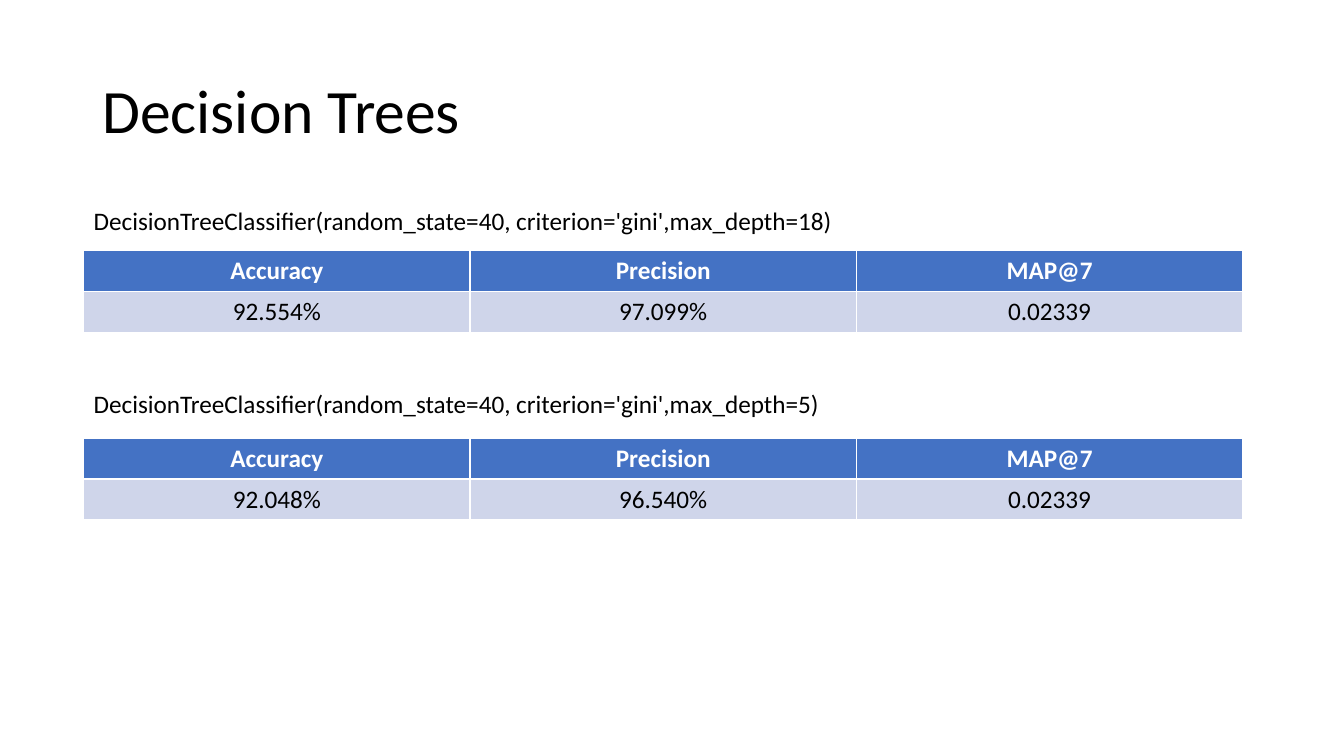
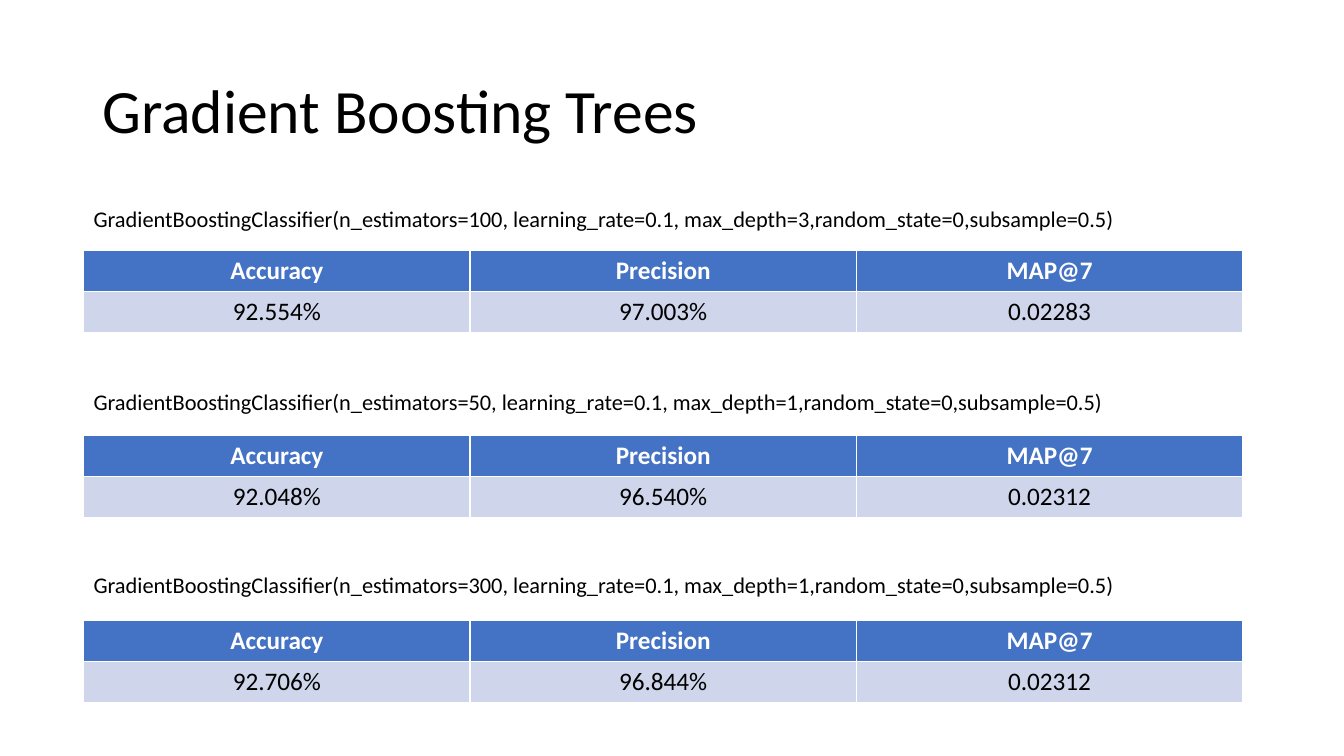
"""Build two slides that compare the scores of tree classifiers."""
from pptx import Presentation
from pptx.dml.color import RGBColor
from pptx.enum.text import MSO_ANCHOR, MSO_AUTO_SIZE, PP_ALIGN
from pptx.util import Cm, Pt

MIDDLE, TOP = MSO_ANCHOR.MIDDLE, MSO_ANCHOR.TOP
FIXED, GROW = MSO_AUTO_SIZE.NONE, MSO_AUTO_SIZE.SHAPE_TO_FIT_TEXT
LEFT, CENTER = PP_ALIGN.LEFT, PP_ALIGN.CENTER

FONT = "Calibri"
BLACK, WHITE, BLUE, PALE_BLUE = "000000", "FFFFFF", "4472C4", "CFD5EA"
MARGIN, CONTENT_WIDTH = 2.11, 29.21
ROW_HEIGHT = 1.03
FIRST_CALL, FIRST_TABLE = 5.05, 6.32
METRICS = ["Accuracy", "Precision", "MAP@7"]


def rgb(color):
    """Turn a hex string into a colour."""
    return RGBColor.from_string(color)


def write(frame, text, size, color=BLACK, bold=False, align=LEFT, spacing=1.0):
    """Fill a text frame with one styled paragraph."""
    paragraph = frame.paragraphs[0]
    paragraph.alignment = align
    paragraph.line_spacing = spacing
    run = paragraph.add_run()
    run.text = text
    for name, value in {"name": FONT, "size": Pt(size), "bold": bold}.items():
        setattr(run.font, name, value)
    run.font.color.rgb = rgb(color)


SLIDES = [
    {
        "title": "Decision Trees",
        "call": "DecisionTreeClassifier(random_state=40, criterion='gini',max_depth={})",
        "call_size": 18, "call_width": 24.26, "call_height": 1.02,
        "call_pitch": 4.62, "table_pitch": 4.72,
        "results": [
            ((18,), ["92.554%", "97.099%", "0.02339"]),
            ((5,), ["92.048%", "96.540%", "0.02339"]),
        ],
    },
    {
        "title": "Gradient Boosting Trees",
        "call": "GradientBoostingClassifier(n_estimators={}, learning_rate=0.1, "
                "max_depth={},random_state=0,subsample=0.5)",
        "call_size": 16, "call_width": CONTENT_WIDTH, "call_height": 0.94,
        "call_pitch": 4.61, "table_pitch": 4.66,
        "results": [
            ((100, 3), ["92.554%", "97.003%", "0.02283"]),
            ((50, 1), ["92.048%", "96.540%", "0.02312"]),
            ((300, 1), ["92.706%", "96.844%", "0.02312"]),
        ],
    },
]

deck = Presentation()
deck.slide_width, deck.slide_height = Cm(33.87), Cm(19.05)
blank = deck.slide_layouts[6]

for content in SLIDES:
    slide = deck.slides.add_slide(blank)

    title = slide.shapes.add_textbox(Cm(2.33), Cm(1.01), Cm(CONTENT_WIDTH), Cm(3.68)).text_frame
    for name, value in {"word_wrap": True, "auto_size": FIXED, "vertical_anchor": MIDDLE}.items():
        setattr(title, name, value)
    write(title, content["title"], 44, spacing=0.9)

    for index, (parameters, scores) in enumerate(content["results"]):
        call = slide.shapes.add_textbox(
            Cm(MARGIN), Cm(FIRST_CALL + index * content["call_pitch"]),
            Cm(content["call_width"]), Cm(content["call_height"])).text_frame
        for name, value in {"word_wrap": True, "auto_size": GROW, "vertical_anchor": TOP}.items():
            setattr(call, name, value)
        write(call, content["call"].format(*parameters), content["call_size"])

        table = slide.shapes.add_table(
            2, len(METRICS), Cm(MARGIN), Cm(FIRST_TABLE + index * content["table_pitch"]),
            Cm(CONTENT_WIDTH), Cm(2 * ROW_HEIGHT)).table
        rows = [(METRICS, BLUE, WHITE, True), (scores, PALE_BLUE, BLACK, False)]
        for row, (texts, fill, color, bold) in enumerate(rows):
            for column, text in enumerate(texts):
                cell = table.cell(row, column)
                cell.fill.solid()
                cell.fill.fore_color.rgb = rgb(fill)
                write(cell.text_frame, text, 18, color, bold, CENTER)

deck.save("out.pptx")
